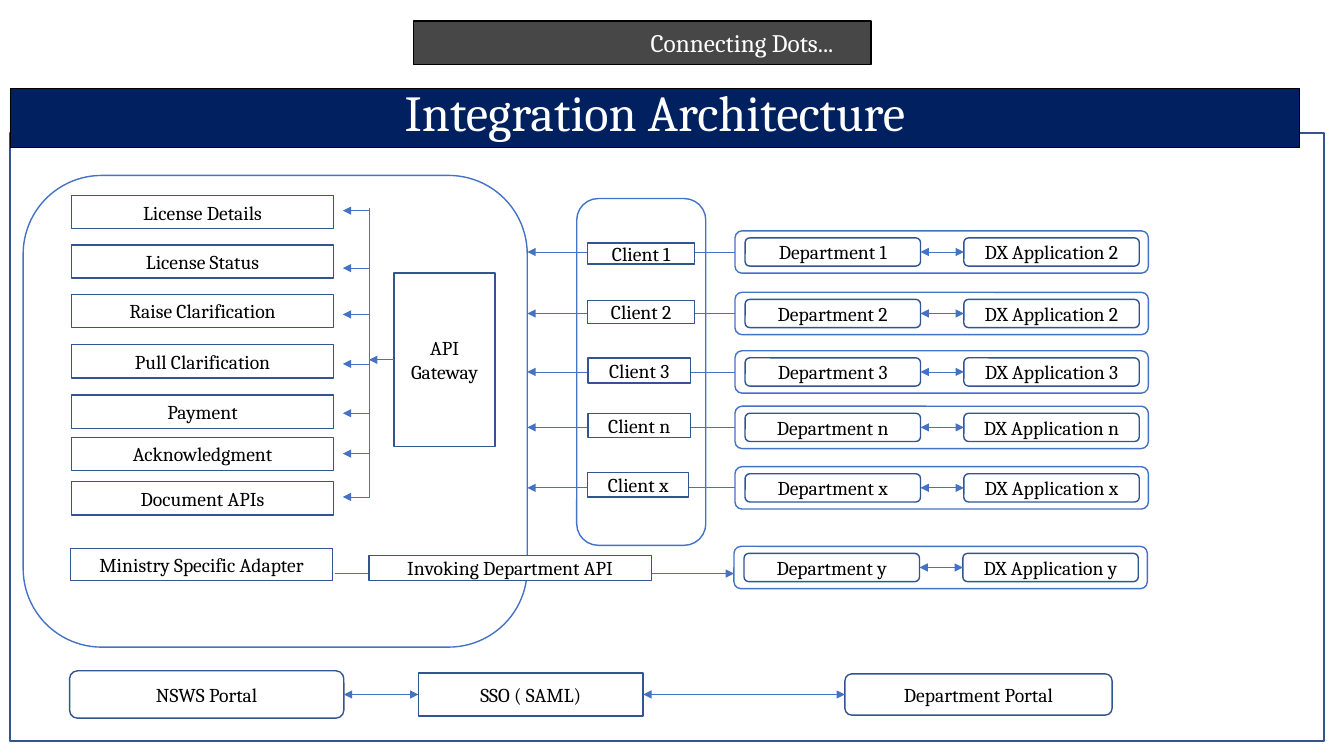
from lxml import etree
from pptx import Presentation
from pptx.dml.color import RGBColor
from pptx.enum.shapes import MSO_CONNECTOR, MSO_SHAPE
from pptx.enum.text import MSO_ANCHOR, PP_ALIGN
from pptx.oxml.ns import qn
from pptx.util import Inches, Pt

RECT, ROUND = MSO_SHAPE.RECTANGLE, MSO_SHAPE.ROUNDED_RECTANGLE
STRAIGHT = MSO_CONNECTOR.STRAIGHT
MIDDLE, BOTTOM = MSO_ANCHOR.MIDDLE, MSO_ANCHOR.BOTTOM
CENTER = PP_ALIGN.CENTER
LEFT_SIDE, RIGHT_SIDE = 1, 3
FONT = "Cambria"
BLACK, WHITE, NAVY = "000000", "FFFFFF", "002060"
BORDER, ACCENT = "325491", "4472C4"


def rgb(value):
    return RGBColor.from_string(value)


def add_box(slide, kind, x, y, w, h, text="", fill=WHITE, line=BORDER,
            weight=1, size=14, color=BLACK):
    sp = slide.shapes.add_shape(kind, Inches(x), Inches(y), Inches(w), Inches(h))
    sp.shadow.inherit = False
    sp.fill.solid()
    sp.fill.fore_color.rgb = rgb(fill)
    sp.line.color.rgb = rgb(line)
    sp.line.width = Pt(weight)
    if text:
        tf = sp.text_frame
        tf.word_wrap = True
        tf.margin_top = tf.margin_bottom = 0
        tf.vertical_anchor = MIDDLE
        p = tf.paragraphs[0]
        p.alignment = CENTER
        r = p.add_run()
        r.text = text
        r.font.name = FONT
        r.font.size = Pt(size)
        r.font.color.rgb = rgb(color)
    return sp


def add_line(slide, x1, y1, x2, y2, head=False, tail=True):
    cx = slide.shapes.add_connector(
        STRAIGHT, Inches(x1), Inches(y1), Inches(x2), Inches(y2))
    cx.line.color.rgb = rgb(ACCENT)
    cx.line.width = Pt(0.5)
    ln = cx.line._get_or_add_ln()
    for tag, wanted in (("a:headEnd", head), ("a:tailEnd", tail)):
        if wanted:
            etree.SubElement(ln, qn(tag), type="triangle")
    etree.SubElement(cx._element.spPr, qn("a:effectLst"))
    return cx


def join_sides(slide, left, right):
    """Two-way arrow between facing sides of two boxes."""
    cx = add_line(slide, 0, 0, 0, 0, head=True)
    cx.begin_connect(left, RIGHT_SIDE)
    cx.end_connect(right, LEFT_SIDE)


def add_banner(slide, x, y, w, h):
    sp = add_box(slide, RECT, x, y, w, h, "Connecting Dots...",
                 fill=BLACK, line=BLACK, size=18, color=WHITE)
    sp.text_frame.margin_left = Inches(2.08)
    color = sp.fill._xPr.find(qn("a:solidFill"))[0]
    etree.SubElement(color, qn("a:alpha"), val="72000")


def add_title(slide, x, y, w, h):
    sp = add_box(slide, RECT, x, y, w, h, "Integration Architecture",
                 fill=NAVY, line=BLACK, weight=0.75, size=36, color=WHITE)
    tf = sp.text_frame
    tf.vertical_anchor = BOTTOM
    tf.margin_bottom = Inches(0.05)
    tf.paragraphs[0].line_spacing = 0.9


def add_platform(slide, x, y, w, h):
    """API list, the bus that feeds it, and the gateway."""
    add_box(slide, ROUND, x, y, w, h, line=ACCENT)
    bus_x = x + 3.43
    gateway = add_box(slide, RECT, x + 3.68, y + 0.97, 1, 1.72, "API Gateway")
    feed = add_line(slide, x + 3.68, y + 1.83, bus_x, y + 1.83)
    feed.begin_connect(gateway, LEFT_SIDE)
    add_line(slide, bus_x, y + 0.32, bus_x, y + 3.2, tail=False)

    # Name, top of the box, height of its arrow
    apis = [
        ("License Details", 0.2, 0.35),
        ("License Status", 0.69, 0.92),
        ("Raise Clarification", 1.18, 1.38),
        ("Pull Clarification", 1.68, 1.87),
        ("Payment", 2.18, 2.36),
        ("Acknowledgment", 2.6, 2.76),
        ("Document APIs", 3.04, 3.19),
    ]
    for name, top, arrow in apis:
        add_box(slide, RECT, x + 0.48, y + top, 2.6, 0.33, name)
        add_line(slide, bus_x, y + arrow, bus_x - 0.26, y + arrow)
    add_box(slide, RECT, x + 0.47, y + 3.7, 2.6, 0.32, "Ministry Specific Adapter")


def add_department(slide, x, y, w, h, name, app):
    card = add_box(slide, ROUND, x, y, w, h, line=ACCENT)
    inner = h - 0.14
    dept = add_box(slide, ROUND, x + 0.1, y + 0.07, 1.74, inner, f"Department {name}")
    dx_app = add_box(slide, ROUND, x + 2.27, y + 0.07, 1.74, inner,
                     f"DX Application {app}")
    join_sides(slide, dept, dx_app)
    return card


def add_clients(slide, x, y, w, h, platform_edge, card_x):
    """Client column with one department card per client."""
    add_box(slide, ROUND, x, y, w, h, line=ACCENT)
    # Client, application, top of the card, top and size of the client box
    rows = [
        ("1", "2", 2.29, 2.41, 1.06, 0.21),
        ("2", "2", 2.9, 2.98, 1.06, 0.23),
        ("3", "3", 3.48, 3.55, 1.02, 0.25),
        ("n", "n", 4.03, 4.1, 1.02, 0.24),
        ("x", "x", 4.63, 4.69, 1, 0.24),
    ]
    for name, app, card_y, client_y, client_w, client_h in rows:
        card = add_department(slide, card_x, card_y, 4.1, 0.42, name, app)
        mid = card_y + 0.21
        call = add_line(slide, card_x, mid, platform_edge, mid)
        call.begin_connect(card, LEFT_SIDE)
        add_box(slide, RECT, x + 0.11, client_y, client_w, client_h, f"Client {name}")


def add_outbound_call(slide, x, y, w, h):
    add_line(slide, x, y + 0.27, x + w, y + 0.27)
    add_box(slide, RECT, x + 0.34, y + 0.09, 2.8, 0.25, "Invoking Department API")
    add_department(slide, x + w, y, 4.1, h, "y", "y")


def add_portals(slide, mid):
    parts = [
        (ROUND, 0.69, 2.72, 0.47, "NSWS Portal"),
        (RECT, 4.15, 2.23, 0.43, "SSO ( SAML)"),
        (ROUND, 8.38, 2.65, 0.41, "Department Portal"),
    ]
    nsws, sso, department = [
        add_box(slide, kind, x, mid - h / 2, w, h, text)
        for kind, x, w, h, text in parts]
    join_sides(slide, nsws, sso)
    join_sides(slide, sso, department)


def main():
    prs = Presentation()
    prs.slide_width, prs.slide_height = Inches(13.33), Inches(7.5)
    slide = prs.slides.add_slide(prs.slide_layouts[6])

    # Header and frame
    add_banner(slide, 4.1, 0.21, 4.54, 0.43)
    add_box(slide, RECT, 0.1, 1.32, 13.03, 6.03, weight=1.5)
    add_title(slide, 0.1, 0.88, 12.79, 0.58)

    # Architecture
    add_platform(slide, 0.23, 1.74, 5, 4.68)
    add_clients(slide, 5.72, 1.97, 1.28, 3.44, platform_edge=5.23, card_x=7.29)
    add_outbound_call(slide, 3.32, 5.42, 3.96, 0.42)
    add_portals(slide, 6.89)

    prs.save("out.pptx")


if __name__ == "__main__":
    main()
